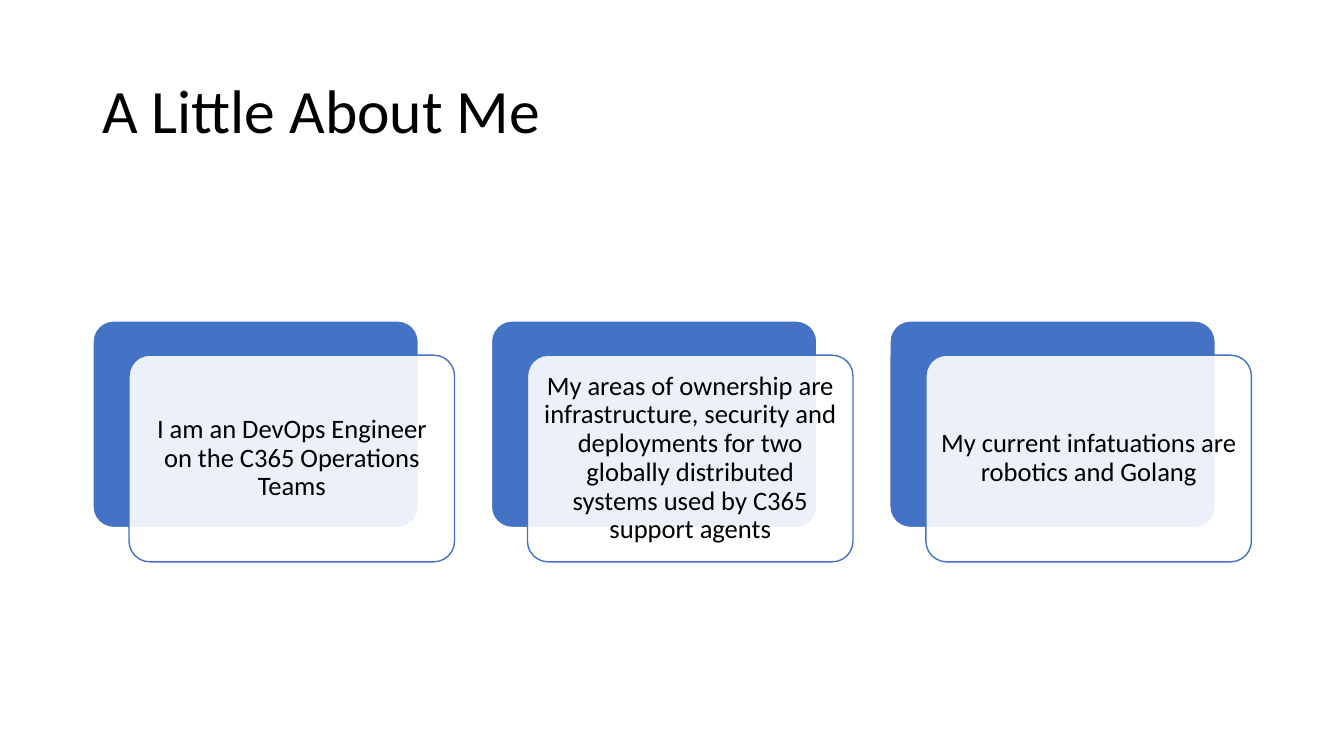
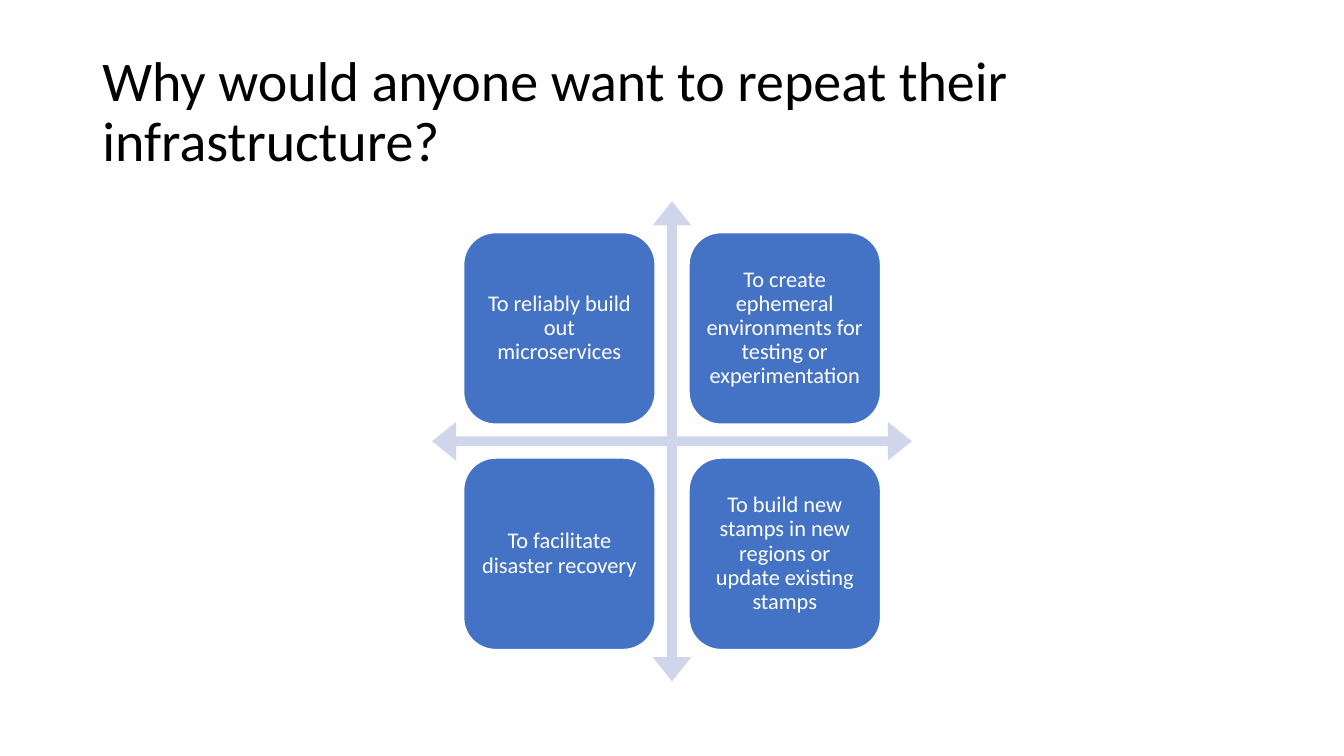
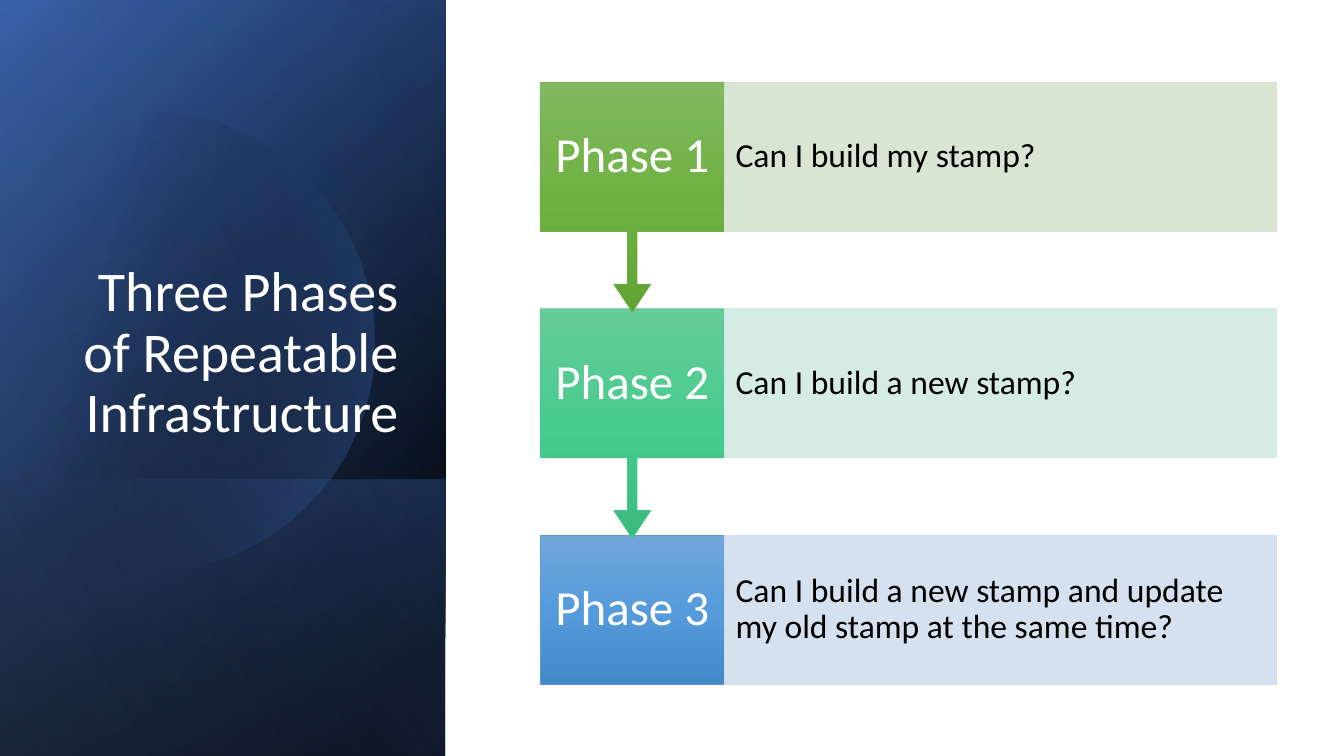
"""Builds three slides on repeatable infrastructure."""
from pptx import Presentation
from pptx.dml.color import RGBColor
from pptx.enum import shapes as sh, text as tx
from pptx.oxml import parse_xml
from pptx.oxml.ns import nsdecls, qn
from pptx.util import Pt

BLACK = RGBColor(0x00, 0x00, 0x00)
WHITE = RGBColor(0xFF, 0xFF, 0xFF)
BLUE = RGBColor(0x44, 0x72, 0xC4)
NAVY = RGBColor(0x2F, 0x55, 0x97)
SKY = RGBColor(0x8F, 0xAA, 0xDC)
PALE = RGBColor(0xCF, 0xD5, 0xEA)
GREEN = [RGBColor.from_string(c) for c in ("81B861", "6FB242", "62A336", "70AD47", "D5E3CF")]
TEAL = [RGBColor.from_string(c) for c in ("67CC9A", "47CB8E", "39BB7F", "4DC58D", "D0EAE1")]
AZURE = [RGBColor.from_string(c) for c in ("71A6DB", "559BDB", "448ACA", "5B9BD5", "D2DEEF")]

KIND = sh.MSO_SHAPE
MID, LOW = tx.MSO_ANCHOR.MIDDLE, tx.MSO_ANCHOR.BOTTOM
LEFT, RIGHT, MIDDLE = tx.PP_ALIGN.LEFT, tx.PP_ALIGN.RIGHT, tx.PP_ALIGN.CENTER


def paint(shape, stops, angle=0, line=None, width=1):
    """Fill with (place, colour, opacity) stops; a single stop is a solid fill."""
    shape.shadow.inherit = False
    if line is None:
        shape.line.fill.background()
    else:
        shape.line.color.rgb = line
        shape.line.width = Pt(width)
    if len(stops) == 1:
        shape.fill.solid()
        shape.fill.fore_color.rgb = stops[0][1]
        hue = shape.element.spPr.find(qn("a:solidFill"))[0]
        hue.append(parse_xml(f'<a:alpha {nsdecls("a")} val="{stops[0][2] * 1000}"/>'))
        return
    shape.fill.gradient()
    grad = shape.element.spPr.find(qn("a:gradFill"))
    for child in list(grad):
        grad.remove(child)
    marks = "".join(
        f'<a:gs pos="{place * 1000}"><a:srgbClr val="{hue}">'
        f'<a:alpha val="{alpha * 1000}"/></a:srgbClr></a:gs>'
        for place, hue, alpha in stops)
    grad.append(parse_xml(f'<a:gsLst {nsdecls("a")}>{marks}</a:gsLst>'))
    grad.append(parse_xml(f'<a:lin {nsdecls("a")} ang="{angle * 60000}" scaled="0"/>'))


def write(shape, words, size, color, align=MIDDLE, anchor=MID, inset=(7.2, 3.6)):
    """Put one paragraph of text into a shape."""
    frame = shape.text_frame
    side, edge = map(Pt, inset)
    form = {"word_wrap": True, "vertical_anchor": anchor, "margin_left": side,
            "margin_right": side, "margin_top": edge, "margin_bottom": edge}
    for key, val in form.items():
        setattr(frame, key, val)
    para = frame.paragraphs[0]
    para.alignment, para.line_spacing = align, 0.9
    run = para.add_run()
    for key, val in {"text": words, "font.size": Pt(size), "font.name": "Calibri"}.items():
        setattr(run.font if "." in key else run, key.split(".")[-1], val)
    run.font.color.rgb = color


deck = Presentation()
deck.slide_width, deck.slide_height = Pt(960), Pt(540)
about, why, phases = [deck.slides.add_slide(deck.slide_layouts[6]) for _ in range(3)]

WIDE = (66, 28.8, 828, 104.4)
for slide, words, size, place in (
        (about, "A Little About Me", 44, WIDE),
        (why, "Why would anyone want to repeat their infrastructure?", 40, WIDE)):
    title = slide.shapes.add_textbox(*map(Pt, place))
    write(title, words, size, BLACK, LEFT)

facts = (
    "I am an DevOps Engineer on the C365 Operations Teams",
    "My areas of ownership are infrastructure, security and deployments for two "
    "globally distributed systems used by C365 support agents",
    "My current infatuations are robotics and Golang",
)
for i, fact in enumerate(facts):
    left, top = 66.4 + 284.6 * i, 229.2
    for shift, drop, stop, line in ((0, 0, (0, BLUE, 100), WHITE),
                                    (25.8, 24.5, (0, WHITE, 90), BLUE)):
        card = about.shapes.add_shape(
            KIND.ROUNDED_RECTANGLE, Pt(left + shift), Pt(top + drop), Pt(232.5), Pt(147.6))
        card.adjustments[0] = 0.1
        paint(card, [stop], line=line)
    write(card, fact, 19, BLACK, inset=(5.7, 5.7))

cross = why.shapes.add_shape(KIND.QUAD_ARROW, Pt(308.6), Pt(143.8), Pt(342.8), Pt(342.8))
for i, val in enumerate((0.02, 0.04, 0.05)):
    cross.adjustments[i] = val
paint(cross, [(0, PALE, 100)])

goals = (
    "To reliably build out microservices",
    "To create ephemeral environments for testing or experimentation",
    "To facilitate disaster recovery",
    "To build new stamps in new regions or update existing stamps",
)
for i, goal in enumerate(goals):
    row, col = divmod(i, 2)
    tile = why.shapes.add_shape(
        KIND.ROUNDED_RECTANGLE, Pt(331.2 + 161 * col), Pt(166.2 + 161 * row), Pt(136.8), Pt(136.8))
    paint(tile, [(0, BLUE, 100)], line=WHITE)
    write(tile, goal, 16, WHITE, inset=(4.8, 4.8))

SIDE = 318.2
layers = (
    (0, 540, 50, [(8, BLACK, 100), (100, NAVY, 100)]),
    (0, 540, 30, [(0, BLACK, 0), (99, BLUE, 46)]),
    (342.6, 197.4, 130, [(2, BLUE, 29), (100, BLACK, 30)]),
    None,
    (0, 540, 120, [(0, BLACK, 0), (99, SKY, 11)]),
)
curves = (
    ((107, 79), (177, 81), (241, 127), (261, 198)),
    ((261, 198), (287, 286), (236, 377), (149, 402)),
    ((149, 402), (94, 418), (38, 404), (0, 372)),
    ((0, 116), (17, 102), (36, 92), (58, 86)),
    ((58, 86), (74, 81), (91, 79), (107, 79)),
)
for layer in layers:
    if layer is None:
        dots = []
        for curve in curves:
            for step in range(17):
                t = step / 16
                parts = ((1 - t) ** 3, 3 * t * (1 - t) ** 2, 3 * t * t * (1 - t), t ** 3)
                dots.append(tuple(Pt(sum(p * dot[k] for p, dot in zip(parts, curve)))
                                  for k in (0, 1)))
        pen = phases.shapes.build_freeform(*dots[0], scale=1.0)
        pen.add_line_segments(dots[1:], close=True)
        disc = pen.convert_to_shape()
        paint(disc, [(29, BLACK, 0), (100, BLUE, 43)], 14)
        continue
    top, high, angle, stops = layer
    panel = phases.shapes.add_shape(
        KIND.RECTANGLE, Pt((SIDE - high) / 2), Pt(top + (high - SIDE) / 2), Pt(high), Pt(SIDE))
    panel.rotation = 90
    panel.element.spPr.find(qn("a:xfrm")).set("flipH", "1")
    paint(panel, stops, angle)

title = phases.shapes.add_textbox(Pt(46), Pt(132.4), Pt(245.6), Pt(188.8))
write(title, "Three Phases of Repeatable Infrastructure", 40, WHITE, RIGHT, LOW)

asks = (
    ("Can I build my stamp?", GREEN),
    ("Can I build a new stamp?", TEAL),
    ("Can I build a new stamp and update my old stamp at the same time?", AZURE),
)
for i, (ask, (light, core, dark, rim, tint)) in reversed(list(enumerate(asks))):
    top, last = 59 + 161.6 * i, i == len(asks) - 1
    step = phases.shapes.add_shape(
        KIND.RECTANGLE if last else KIND.DOWN_ARROW_CALLOUT,
        Pt(386), Pt(top), Pt(131.4), Pt(106.4 if last else 163.7))
    if not last:
        for k, val in enumerate((0.05, 0.1, 0.15, 0.65)):
            step.adjustments[k] = val
    paint(step, [(0, light, 100), (50, core, 100), (100, dark, 100)], 90, rim, 0.5)
    write(step, f"Phase {i + 1}", 35, WHITE, inset=(6, 19))
    bar = phases.shapes.add_shape(KIND.RECTANGLE, Pt(517.4), Pt(top), Pt(394), Pt(106.4))
    paint(bar, [(0, tint, 90)], line=tint, width=0.5)
    write(bar, ask, 24, BLACK, LEFT, inset=(8, 24))

deck.save("out.pptx")
